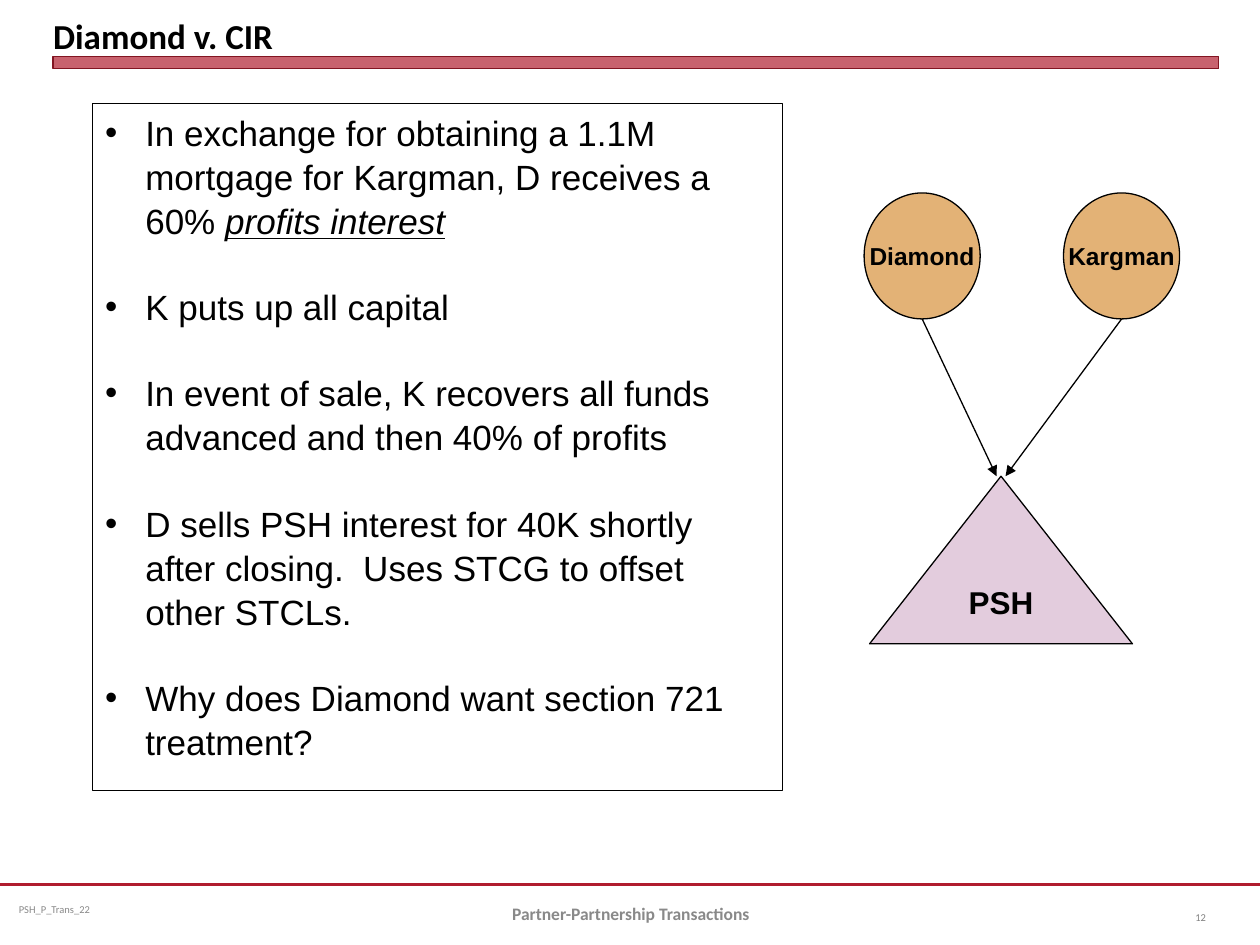
from lxml.etree import SubElement
from pptx import Presentation
from pptx.dml.color import RGBColor
from pptx.enum.shapes import MSO_CONNECTOR as Connector, MSO_SHAPE as Shape
from pptx.enum.text import MSO_ANCHOR as Anchor, PP_ALIGN as Align
from pptx.oxml.ns import qn
from pptx.util import Cm, Pt

BLACK = RGBColor(0x00, 0x00, 0x00)
CRIMSON = RGBColor(0xB0, 0x1C, 0x2E)
DARK_CRIMSON = RGBColor(0x82, 0x15, 0x22)
PARTNER_FILL = RGBColor(0xE3, 0xB2, 0x76)
PARTNERSHIP_FILL = RGBColor(0xE3, 0xCC, 0xDD)
FOOTER_GREY = RGBColor(0x89, 0x89, 0x89)
NUMBER_GREY = RGBColor(0x80, 0x80, 0x80)

# Each point is a list of (text, emphasised) runs.
POINTS = [
    [("In exchange for obtaining a 1.1M mortgage for Kargman, D receives a 60% ", False),
     ("profits interest", True)],
    [("K puts up all capital", False)],
    [("In event of sale, K recovers all funds advanced and then 40% of profits", False)],
    [("D sells PSH interest for 40K shortly after closing.  Uses STCG to offset other STCLs.",
      False)],
    [("Why does Diamond want section 721 treatment?", False)],
]
PARTNER_TOP, PARTNER_WIDTH, PARTNER_HEIGHT = 3.89, 2.34, 2.54
APEX_X, APEX_Y = 20.18, 9.6
ARROW_GAP = 0.09


def style_font(font, name, size, color, bold=False):
    font.name, font.size, font.bold = name, Pt(size), bold
    font.color.rgb = color


def add_label(slide, box, text, name, size, color, bold=False, align=Align.LEFT,
              anchor=Anchor.MIDDLE, insets=(0.25, 0.13)):
    label = slide.shapes.add_textbox(*map(Cm, box))
    frame = label.text_frame
    frame.word_wrap = True
    frame.vertical_anchor = anchor
    frame.margin_left = frame.margin_right = Cm(insets[0])
    frame.margin_top = frame.margin_bottom = Cm(insets[1])
    paragraph = frame.paragraphs[0]
    paragraph.text = text
    paragraph.alignment = align
    style_font(paragraph.font, name, size, color, bold)


def add_outlined(slide, kind, box, fill, line, width):
    """Add a preset shape; a fill of None leaves it open."""
    shape = slide.shapes.add_shape(kind, *map(Cm, box))
    shape.shadow.inherit = False
    if fill is None:
        shape.fill.background()
    else:
        shape.fill.solid()
        shape.fill.fore_color.rgb = fill
    shape.line.color.rgb = line
    shape.line.width = Pt(width)
    return shape


def add_entity(slide, kind, box, fill, text, size):
    entity = add_outlined(slide, kind, box, fill, BLACK, 0.75)
    frame = entity.text_frame
    frame.word_wrap = False
    frame.vertical_anchor = Anchor.MIDDLE
    paragraph = frame.paragraphs[0]
    paragraph.text = text
    paragraph.alignment = Align.CENTER
    style_font(paragraph.font, "Arial", size, BLACK, bold=True)


def add_line(slide, start, end, color, width, arrow=False):
    line = slide.shapes.add_connector(Connector.STRAIGHT, *map(Cm, start + end))
    line.line.color.rgb = color
    line.line.width = Pt(width)
    properties = line._element.spPr
    if arrow:
        SubElement(properties.find(qn("a:ln")), qn("a:tailEnd"), type="triangle")
    SubElement(properties, qn("a:effectLst"))


def add_header(slide):
    bar = add_outlined(slide, Shape.RECTANGLE, (1.07, 1.14, 23.5, 0.25),
                       CRIMSON, DARK_CRIMSON, 0)
    fill_color = bar._element.spPr.find(qn("a:solidFill"))[0]
    SubElement(fill_color, qn("a:alpha"), val="69000")
    add_label(slide, (1.07, 0.13, 23.5, 1.01), "Diamond v. CIR", "Calibri", 20, BLACK,
              bold=True, anchor=Anchor.BOTTOM, insets=(0, 0))


def add_points(slide):
    panel = add_outlined(slide, Shape.RECTANGLE, (1.87, 2.08, 13.9, 13.85),
                         None, BLACK, 0.5)
    frame = panel.text_frame
    frame.word_wrap = True
    frame.vertical_anchor = Anchor.TOP
    for index, runs in enumerate(POINTS):
        paragraph = frame.add_paragraph() if index else frame.paragraphs[0]
        paragraph.alignment = Align.LEFT
        paragraph.line_spacing = 1.05
        if index:
            paragraph.space_before = Pt(24)
        properties = paragraph._p.get_or_add_pPr()
        properties.set("marL", str(Cm(0.81)))
        properties.set("indent", str(-Cm(0.81)))
        SubElement(properties, qn("a:buFont"), typeface="Arial")
        SubElement(properties, qn("a:buChar"), char="•")
        style_font(paragraph.font, "Arial", 20, BLACK)
        for text, emphasised in runs:
            run = paragraph.add_run()
            run.text = text
            if emphasised:
                run.font.italic = run.font.underline = True


def add_structure(slide):
    """Draw the two partners pointing at their partnership."""
    for name, center, side in (("Diamond", 18.59, -1), ("Kargman", 22.61, 1)):
        box = (center - PARTNER_WIDTH / 2, PARTNER_TOP, PARTNER_WIDTH, PARTNER_HEIGHT)
        add_entity(slide, Shape.OVAL, box, PARTNER_FILL, name, 14)
        add_line(slide, (center, PARTNER_TOP + PARTNER_HEIGHT),
                 (APEX_X + side * ARROW_GAP, APEX_Y), BLACK, 0.75, arrow=True)
    add_entity(slide, Shape.ISOSCELES_TRIANGLE, (17.53, APEX_Y, 5.3, 3.38),
               PARTNERSHIP_FILL, "PSH", 18)


def add_footer(slide):
    add_line(slide, (0, 17.83), (25.4, 17.83), CRIMSON, 1.25)
    add_label(slide, (0.2, 17.83, 6.55, 1.02), "PSH_P_Trans_22", "Calibri", 6,
              FOOTER_GREY, insets=(0.18, 0.1))
    add_label(slide, (8.69, 17.91, 8.05, 1.02), "Partner-Partnership Transactions",
              "Calibri", 10, FOOTER_GREY, bold=True, align=Align.CENTER)
    add_label(slide, (23.29, 17.98, 1.27, 1.02), "12", "Calibri", 6, NUMBER_GREY,
              align=Align.RIGHT)


def main():
    presentation = Presentation()
    presentation.slide_width, presentation.slide_height = Cm(25.4), Cm(19.05)
    slide = presentation.slides.add_slide(presentation.slide_layouts[6])
    add_header(slide)
    add_points(slide)
    add_structure(slide)
    add_footer(slide)
    presentation.save("out.pptx")


if __name__ == "__main__":
    main()
